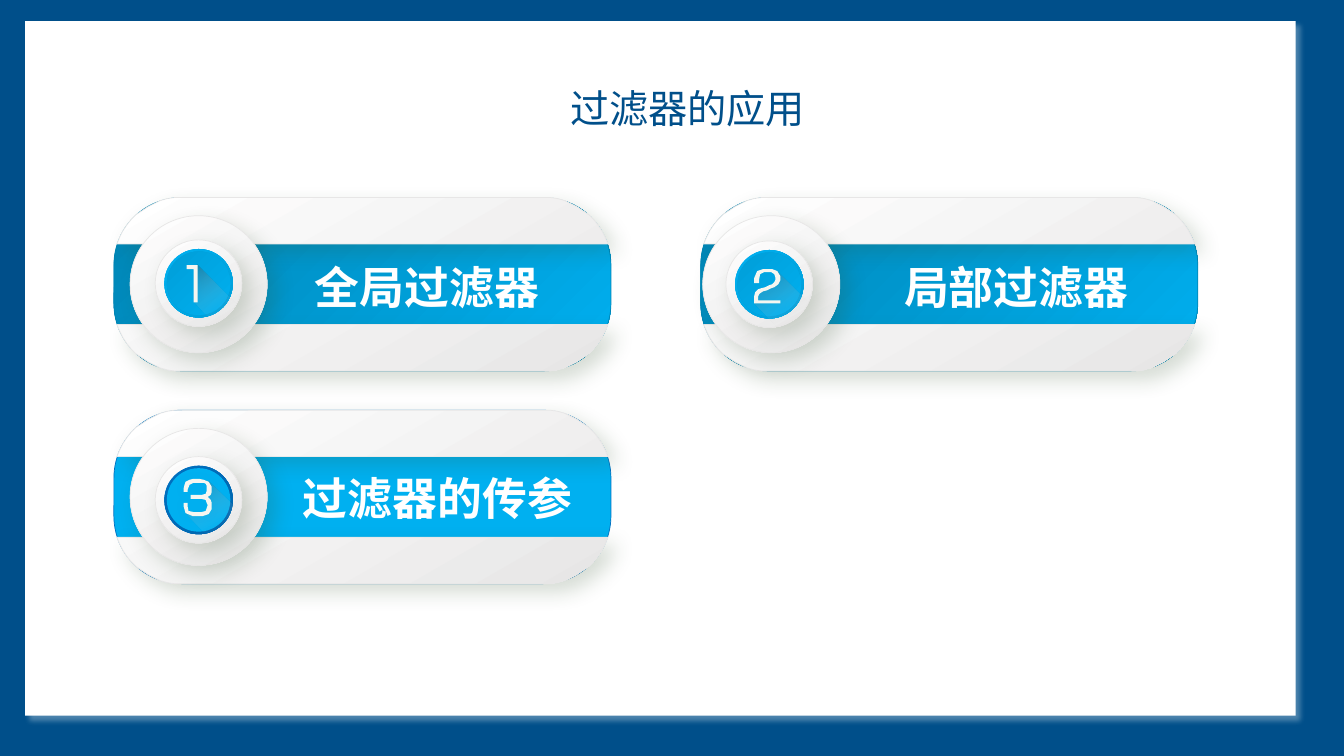
from math import asin, cos, pi, sin

from lxml import etree
from pptx import Presentation
from pptx.dml.color import RGBColor
from pptx.enum.shapes import MSO_SHAPE
from pptx.enum.text import MSO_ANCHOR, MSO_AUTO_SIZE, PP_ALIGN
from pptx.oxml.ns import qn
from pptx.util import Inches, Pt

RECT, ROUND, OVAL = MSO_SHAPE.RECTANGLE, MSO_SHAPE.ROUNDED_RECTANGLE, MSO_SHAPE.OVAL
MIDDLE, CENTER, NO_FIT = MSO_ANCHOR.MIDDLE, PP_ALIGN.CENTER, MSO_AUTO_SIZE.NONE

NAVY, WHITE, GREY, IVORY = "004F8A", "FFFFFF", "E7E6E6", "F6F6F0"
SKY, OCEAN, TEAL = "00B0F0", "009ED8", "0084B4"
BLUE, DEEP = "0070C0", "0065AD"
PEARL = (WHITE, GREY, 60)  # start colour, end colour, clockwise angle

# Shadows: colour, opacity in percent, blur and distance in points, angle
SHEET_SHADOW = (WHITE, 30, 4, 5, 45)
SOFT_SHADOW = ("32522C", 20, 15, 8, 45)
DIGIT_SHADOW = (SKY, 40, 5, 0, 0)

# Tile size, and the white caps above and below its coloured band
TILE_W, TILE_H, CAP_H, RADIUS = 4.93, 1.72, 0.46, 0.67

# Outlines in hundredths of an inch from the corner of the badge
DIGITS = {
    1: [(38, 62), (38, 29), (31, 29), (31, 25), (42, 25), (42, 62)],
    2: [(28, 62), (28, 55), (29, 51), (32, 48), (35, 47), (39, 46), (43, 44),
        (46, 43), (48, 41), (49, 39), (49, 36), (48, 33), (45, 31), (42, 31),
        (38, 31), (34, 33), (33, 38), (33, 42), (28, 42), (28, 37), (31, 30),
        (37, 28), (42, 28), (46, 28), (51, 30), (54, 35), (54, 39), (52, 43),
        (48, 46), (45, 47), (41, 49), (37, 50), (34, 52), (33, 53), (32, 55),
        (32, 59), (54, 59), (54, 62)],
    3: [(56, 46), (56, 52), (53, 57), (47, 59), (42, 59), (37, 59), (30, 56),
        (28, 49), (28, 46), (32, 46), (32, 49), (33, 54), (38, 55), (42, 55),
        (46, 55), (50, 54), (51, 51), (52, 48), (51, 46), (50, 43), (46, 42),
        (35, 42), (35, 38), (46, 38), (50, 37), (51, 34), (51, 29), (50, 27),
        (48, 26), (45, 26), (38, 26), (34, 28), (32, 33), (32, 35), (28, 35),
        (28, 32), (29, 28), (30, 25), (34, 23), (38, 22), (43, 22), (48, 23),
        (53, 25), (56, 30), (56, 35), (55, 38), (52, 40), (55, 43)],
}
FOLDS = {
    1: [(42, 25), (39, 62), (61, 86), (82, 65)],
    2: [(51, 30), (50, 43), (31, 51), (28, 62), (55, 90), (83, 62)],
    3: [(53, 25), (52, 26), (52, 37), (50, 40), (53, 48), (52, 55), (42, 57),
        (30, 55), (30, 56), (55, 82), (83, 54)],
}


def color(hex_value):
    return RGBColor.from_string(hex_value)


def add_shadow(shape, shade, opacity, blur, distance, angle):
    effects = shape._element.spPr.find(qn("a:effectLst"))
    shadow = etree.SubElement(
        effects, qn("a:outerShdw"), blurRad=str(Pt(blur)), dist=str(Pt(distance)),
        dir=str(angle * 60000), algn="tl", rotWithShape="0")
    tint = etree.SubElement(shadow, qn("a:srgbClr"), val=shade)
    etree.SubElement(tint, qn("a:alpha"), val=str(opacity * 1000))


def paint(shape, fill, line=None, shadow=None, width=0.5):
    """Apply a solid colour or a (start, end, angle) gradient."""
    shape.shadow.inherit = False
    if isinstance(fill, str):
        shape.fill.solid()
        shape.fill.fore_color.rgb = color(fill)
    else:
        start, end, angle = fill
        shape.fill.gradient()
        shape.fill.gradient_angle = 360 - angle
        for stop, shade in zip(shape.fill.gradient_stops, (start, end)):
            stop.color.rgb = color(shade)
    if line:
        shape.line.color.rgb = color(line)
        shape.line.width = Pt(width)
    else:
        shape.line.fill.background()
    if shadow:
        add_shadow(shape, *shadow)


def add_preset(page, kind, left, top, width, height, *style):
    shape = page.shapes.add_shape(
        kind, Inches(left), Inches(top), Inches(width), Inches(height))
    paint(shape, *style)
    return shape


def add_outline(page, left, top, contours, *style):
    """Draw closed contours given in hundredths of an inch."""
    builder = page.shapes.build_freeform(*contours[0][0], scale=Inches(0.01))
    for index, contour in enumerate(contours):
        if index:
            builder.move_to(*contour[0])
        builder.add_line_segments(contour[1:], close=True)
    shape = builder.convert_to_shape(Inches(left), Inches(top))
    paint(shape, *style)
    return shape


def write(box, words, size, font, shade, bold=False):
    frame = box.text_frame
    frame.text = words
    frame.word_wrap = True
    frame.auto_size = NO_FIT
    frame.vertical_anchor = MIDDLE
    para = frame.paragraphs[0]
    para.alignment = CENTER
    span = para.runs[0]
    span.font.size = Pt(size)
    span.font.bold = bold
    span.font.color.rgb = color(shade)
    span.font.name = font
    etree.SubElement(span._r.get_or_add_rPr(), qn("a:ea"), typeface=font)


def cap_contours():
    """Upper and lower slices of the rounded tile."""
    low = asin((RADIUS - CAP_H) / RADIUS)
    angles = [low + (pi / 2 - low) * step / 12 for step in range(13)]
    left_arc = [(RADIUS * (1 - cos(a)), RADIUS * (1 - sin(a))) for a in angles]
    right_arc = [(TILE_W - x, y) for x, y in reversed(left_arc)]
    upper = left_arc + right_arc
    lower = [(x, TILE_H - y) for x, y in upper]
    return [[(x * 100, y * 100) for x, y in cap] for cap in (upper, lower)]


def add_tile(page, left, top, band, edge, disc_left):
    tile = add_preset(page, ROUND, left, top, TILE_W, TILE_H, band, edge)
    tile.adjustments[0] = 0.39
    add_outline(page, left, top, cap_contours(), PEARL, GREY, SOFT_SHADOW)
    add_preset(page, OVAL, disc_left, top + 0.18, 1.36, 1.36, PEARL, GREY, SOFT_SHADOW)


def add_badge(page, number, left, top, rim, face):
    add_preset(page, OVAL, left, top, 0.86, 0.86, PEARL, GREY, SOFT_SHADOW)
    add_preset(page, OVAL, left + 0.09, top + 0.09, 0.68, 0.68, rim)
    add_preset(page, OVAL, left + 0.115, top + 0.115, 0.63, 0.63, face)
    # Fading long shadow of the digit
    fold = add_outline(page, left, top, [FOLDS[number]], ("3F3F3F", WHITE, 60))
    fold.fill.gradient_stops[1].position = 0.76
    for tint, alpha in zip(fold._element.spPr.iter(qn("a:srgbClr")), (40, 0)):
        etree.SubElement(tint, qn("a:alpha"), val=str(alpha * 1000))
    add_outline(page, left, top, [DIGITS[number]], IVORY, None, DIGIT_SHADOW)


def add_label(page, words, left, top, width):
    box = page.shapes.add_textbox(
        Inches(left), Inches(top), Inches(width), Inches(0.65))
    write(box, words, 32, "Noto Sans CJK SC", WHITE, True)


def add_title(page, words):
    title = page.shapes.title
    title.left, title.top = Inches(3.83), Inches(0.78)
    title.width, title.height = Inches(5.98), Inches(0.57)
    title.fill.solid()
    title.fill.fore_color.rgb = color(WHITE)
    title.line.color.rgb = color(WHITE)
    title.line.width = Pt(1)
    write(title, words, 28, "Noto Sans CJK JP", NAVY)
    page.shapes._spTree.append(title._element)  # bring to the front


def main():
    deck = Presentation()
    deck.slide_width, deck.slide_height = Inches(13.33), Inches(7.5)
    page = deck.slides.add_slide(deck.slide_layouts[5])

    # Blue surround and white sheet
    page.background.fill.solid()
    page.background.fill.fore_color.rgb = color(NAVY)
    add_preset(page, RECT, 0.25, 0.21, 12.6, 6.89, WHITE, None, SHEET_SHADOW)

    # Numbered tiles
    shaded = (TEAL, SKY, 45)
    rim, face = (SKY, OCEAN, 45), (OCEAN, SKY, 45)
    add_tile(page, 1.13, 1.96, shaded, TEAL, 1.29)
    add_tile(page, 6.95, 1.96, shaded, TEAL, 6.97)
    add_tile(page, 1.13, 4.07, SKY, BLUE, 1.29)
    add_badge(page, 1, 1.54, 2.38, rim, face)
    add_badge(page, 2, 7.2, 2.39, rim, face)
    add_badge(page, 3, 1.54, 4.53, (BLUE, DEEP, 45), SKY)

    # Words
    add_label(page, "全局过滤器", 2.51, 2.52, 3.45)
    add_label(page, "局部过滤器", 7.94, 2.52, 4.28)
    add_label(page, "过滤器的传参", 2.65, 4.61, 3.38)
    add_title(page, "过滤器的应用")
    deck.save("out.pptx")


if __name__ == "__main__":
    main()
